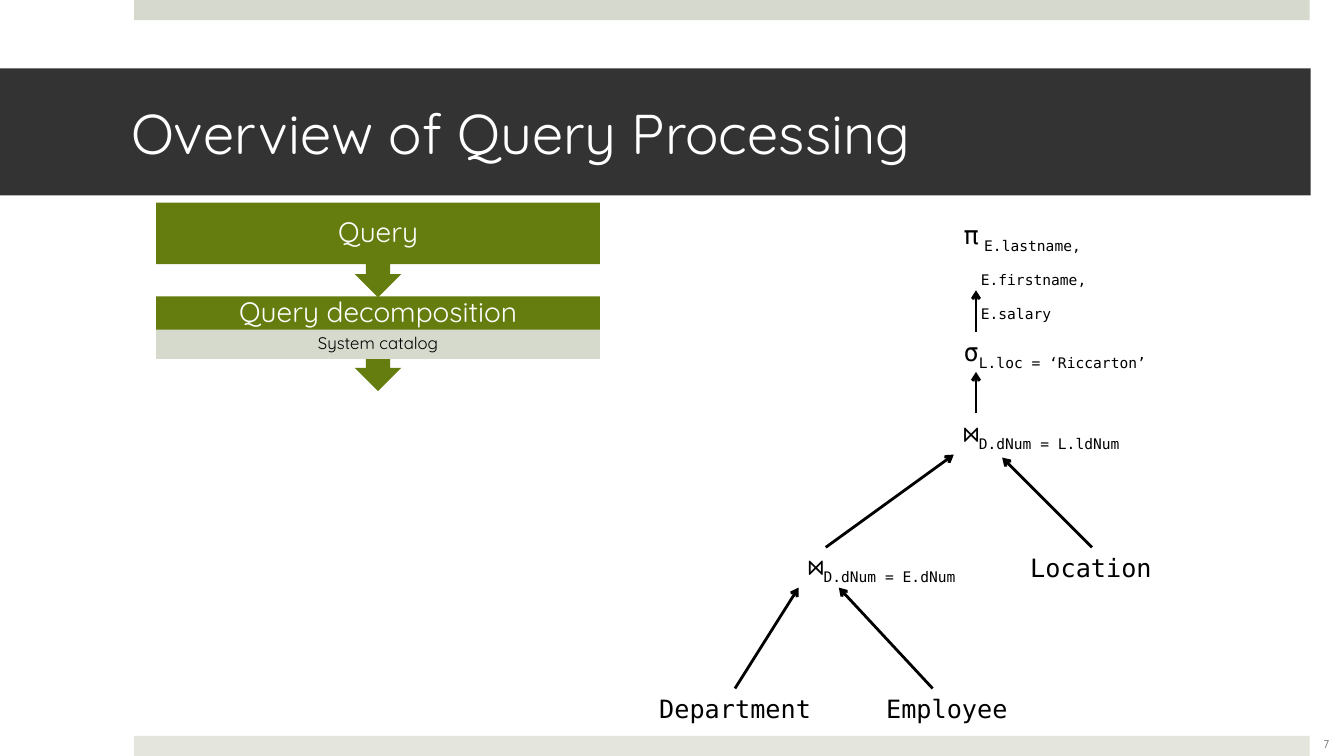
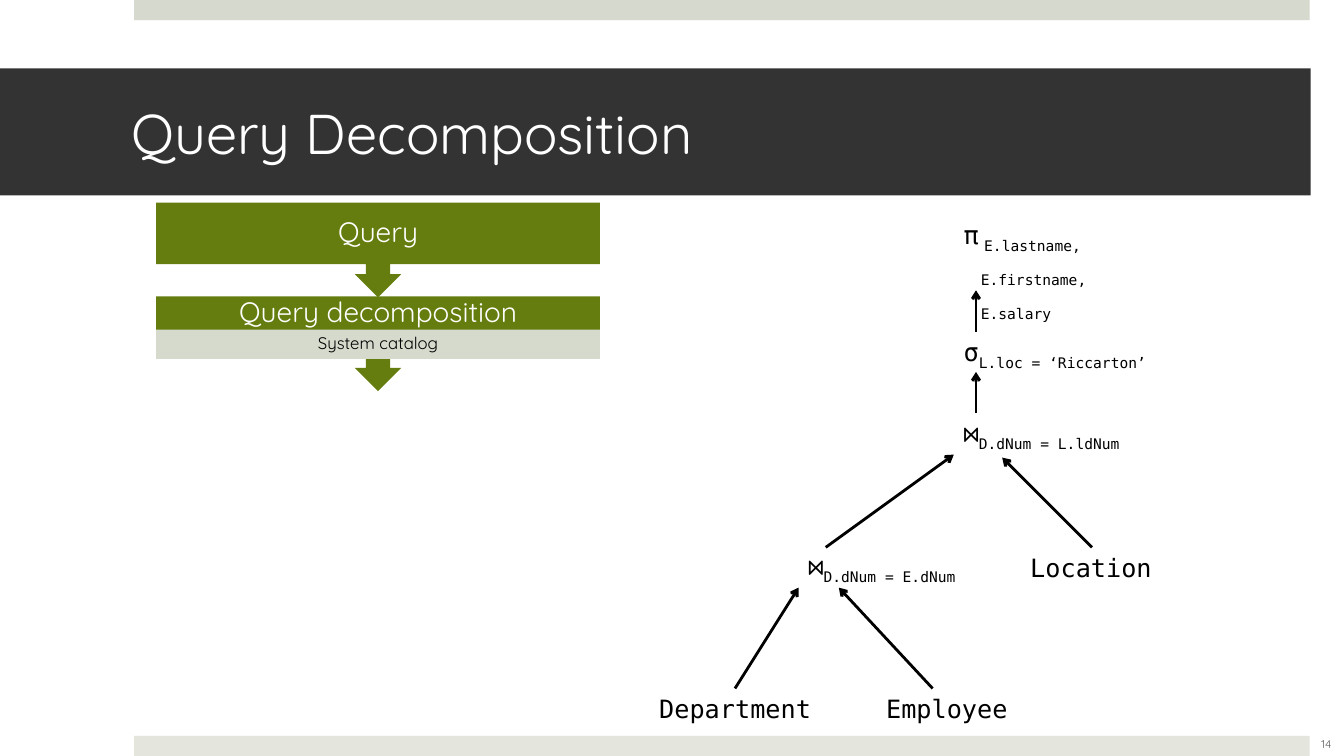
from dataclasses import dataclass

import pptx
import pptx.dml.color
import pptx.enum.shapes
import pptx.enum.text
import pptx.oxml
import pptx.oxml.ns
import pptx.util


@dataclass(frozen=True)
class Theme:
    sans: str = "Quicksand"
    mono: str = "DejaVu Sans Mono"
    white: str = "FFFFFF"
    black: str = "000000"
    dark: str = "333333"
    grey: str = "595959"
    green: str = "657D0E"
    sage: str = "D5DACC"
    top: str = "D6D9CD"
    foot: str = "E4E6DE"
    title: float = 40
    step: float = 20
    node: float = 18
    note: float = 12
    gap: float = 11
    page: float = 8
    line: float = 2


THEME = Theme()
RECT = pptx.enum.shapes.MSO_SHAPE.RECTANGLE
LEFT = pptx.enum.text.PP_ALIGN.LEFT
CENTER = pptx.enum.text.PP_ALIGN.CENTER

# Each node: left, top, width, symbol or name, then subscript or None
NODES = [
    (9.46, 4.1, 2.04, "⋈", "D.dNum = L.ldNum"),
    (9.46, 3.29, 2.28, "σ", "L.loc = ‘Riccarton’"),
    (7.92, 5.42, 1.94, "⋈", "D.dNum = E.dNum"),
    (10.12, 5.43, 1.5, "Location", None),
    (8.69, 6.83, 1.5, "Employee", None),
    (6.44, 6.83, 1.8, "Department", None),
]

# Each arrow: start x, start y, end x, end y
ARROWS = [
    (7.29, 6.83, 7.92, 5.83),
    (9.25, 6.83, 8.32, 5.83),
    (8.19, 5.43, 9.46, 4.51),
    (10.83, 5.43, 9.94, 4.54),
    (9.68, 4.1, 9.68, 3.69),
    (9.68, 3.29, 9.68, 2.88),
]


def inches(*sizes):
    return [pptx.util.Inches(size) for size in sizes]


def color(code):
    return pptx.dml.color.RGBColor.from_string(code)


def paint(shape, code):
    shape.shadow.inherit = False
    shape.fill.solid()
    shape.fill.fore_color.rgb = color(code)
    shape.line.fill.background()


def add_run(para, text, size, code, font, sub=False):
    run = para.add_run()
    run.text = text
    run.font.size = pptx.util.Pt(size)
    run.font.name = font
    run.font.color.rgb = color(code)
    if sub:
        run._r.get_or_add_rPr().set("baseline", "-25000")


def label(shape, text, size, code, pads, align=CENTER, space=None):
    """Fill a shape with one line of text; pads run left, top, right, bottom."""
    frame = shape.text_frame
    frame.word_wrap = True
    frame.vertical_anchor = pptx.enum.text.MSO_ANCHOR.MIDDLE
    (frame.margin_left, frame.margin_top,
     frame.margin_right, frame.margin_bottom) = inches(*pads)
    para = frame.paragraphs[0]
    para.alignment = align
    para.line_spacing = space
    add_run(para, text, size, code, THEME.sans)


def add_band(shapes, box, code):
    band = shapes.add_shape(RECT, *inches(*box))
    paint(band, code)
    return band


def add_frame(slide, title, page):
    """Draw the bands, title and page number that all slides share."""
    shapes = slide.shapes
    add_band(shapes, (1.33, 0, 11.66, 0.2), THEME.top)
    add_band(shapes, (1.33, 7.3, 11.66, 0.2), THEME.foot)
    band = add_band(shapes, (0, 0.68, 13, 1.26), THEME.dark)
    label(band, title, THEME.title, THEME.white, (1.3, 0.05, 0.3, 0.05), LEFT)
    box = shapes.add_textbox(*inches(12.82, 7.18, 0.67, 0.4))
    label(box, page, THEME.page, THEME.grey, (0.1, 0.05, 0.1, 0.05))


def add_step(shapes, top, text, base):
    """Draw a box with a down arrow; base is the bottom text margin."""
    mid, half, stem, head = 3.75, 2.2, 0.12, 0.23
    low, neck, tip = top + 0.61, top + 0.71, top + 0.94
    right = [(half, top), (half, low), (stem, low), (stem, neck), (head, neck)]
    points = [(mid + x, y) for x, y in right] + [(mid, tip)]
    points += [(mid - x, y) for x, y in reversed(right)]
    points = [inches(*point) for point in points]
    build = shapes.build_freeform(*points[0])
    build.add_line_segments(points[1:], close=True)
    step = build.convert_to_shape()
    paint(step, THEME.green)
    label(step, text, THEME.step, THEME.white, (0.16, 0.16, 0.16, base), space=0.9)


def add_note(shapes, box, text):
    note = add_band(shapes, box, THEME.sage)
    label(note, text, THEME.note, THEME.black, (0.09, 0.02, 0.09, 0.02), space=0.9)


def add_text(shapes, left, top, width, height=0.4):
    """Add an unwrapped box that fits its text, and return its frame."""
    frame = shapes.add_textbox(*inches(left, top, width, height)).text_frame
    frame.word_wrap = False
    frame.auto_size = pptx.enum.text.MSO_AUTO_SIZE.SHAPE_TO_FIT_TEXT
    return frame


def add_node(shapes, left, top, width, sign, sub):
    para = add_text(shapes, left, top, width).paragraphs[0]
    add_run(para, sign, THEME.node, THEME.black, THEME.mono)
    if sub:
        add_run(para, sub, THEME.node, THEME.black, THEME.mono, sub=True)


def add_root(shapes):
    """Add the projection, with its later fields indented below the first."""
    frame = add_text(shapes, 9.46, 2.13, 1.73, 0.81)
    para = frame.paragraphs[0]
    add_run(para, "π", THEME.node, THEME.black, THEME.mono)
    add_run(para, " ", THEME.gap, THEME.black, THEME.mono, sub=True)
    add_run(para, "E.lastname,", THEME.node, THEME.black, THEME.mono, sub=True)
    for field in ("E.firstname,", "E.salary"):
        para = frame.add_paragraph()
        indent = pptx.util.Inches(0.17)
        para._p.get_or_add_pPr().set("marL", str(indent))
        add_run(para, field, THEME.node, THEME.black, THEME.mono, sub=True)


def add_arrow(shapes, ends):
    kind = pptx.enum.shapes.MSO_CONNECTOR.STRAIGHT
    arrow = shapes.add_connector(kind, *inches(*ends))
    arrow.line.color.rgb = color(THEME.black)
    arrow.line.width = pptx.util.Pt(THEME.line)
    names = pptx.oxml.ns.nsdecls("a")
    head = pptx.oxml.parse_xml(f'<a:tailEnd {names} type="arrow"/>')
    arrow.line._get_or_add_ln().append(head)
    arrow.element.spPr.append(pptx.oxml.parse_xml(f"<a:effectLst {names}/>"))


def add_flow(slide):
    shapes = slide.shapes.add_group_shape().shapes
    add_step(shapes, 2.94, "Query decomposition", 0.76)
    add_note(shapes, (1.55, 3.27, 4.4, 0.29), "System catalog")
    add_step(shapes, 2.01, "Query", 0.48)


def add_tree(slide):
    shapes = slide.shapes.add_group_shape().shapes
    add_root(shapes)
    for node in NODES:
        add_node(shapes, *node)
    for ends in ARROWS:
        add_arrow(shapes, ends)


def main():
    deck = pptx.Presentation()
    deck.slide_width, deck.slide_height = inches(13.33, 7.5)
    blank = deck.slide_layouts[6]
    for title, page in (("Overview of Query Processing", "7"),
                        ("Query Decomposition", "14")):
        slide = deck.slides.add_slide(blank)
        add_frame(slide, title, page)
        add_flow(slide)
        add_tree(slide)
    deck.save("out.pptx")


if __name__ == "__main__":
    main()
